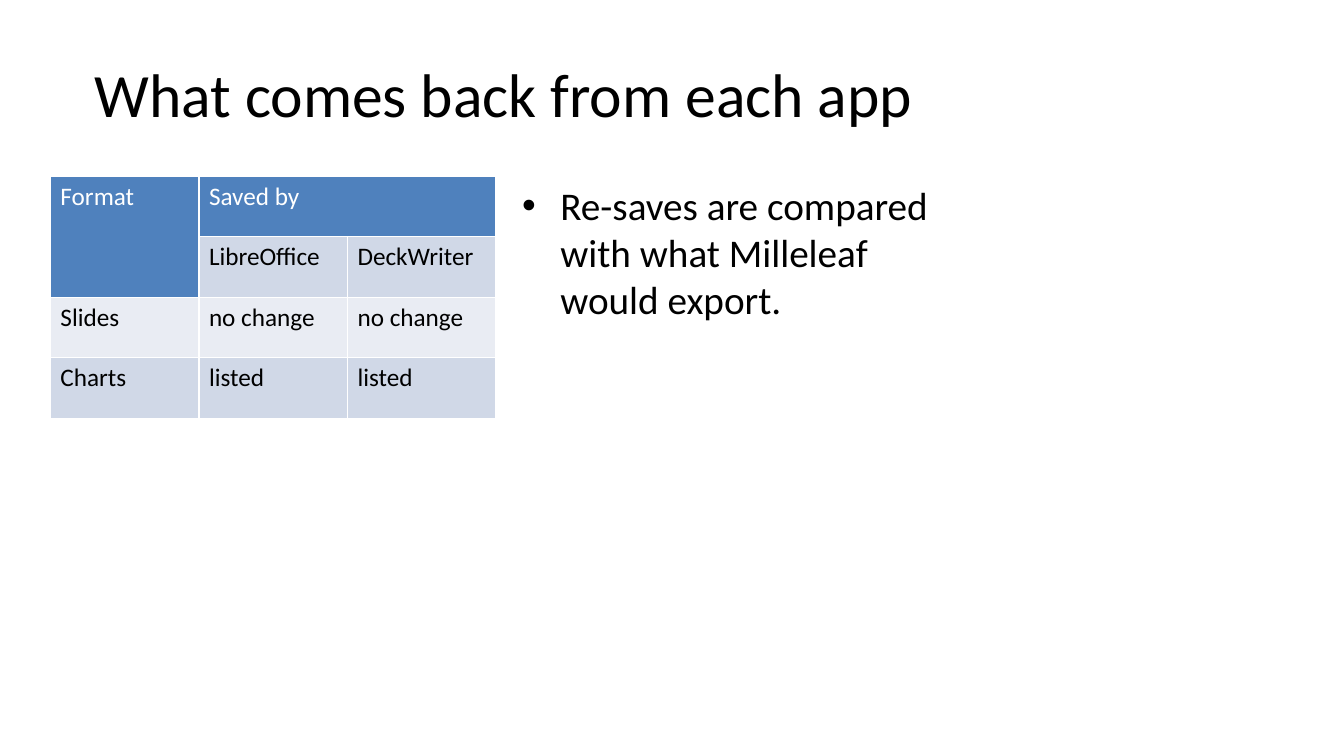
from lxml import etree
from pptx import Presentation
from pptx import util as u
from pptx.dml.color import RGBColor
from pptx.enum import text
from pptx.oxml import ns

PX = 9144  # 100 px to the inch
FONT = "Calibri"
BLACK = RGBColor(0x00, 0x00, 0x00)
WHITE = RGBColor(0xFF, 0xFF, 0xFF)
BLUE = RGBColor(0x4F, 0x81, 0xBD)
DARK = RGBColor(0xD0, 0xD8, 0xE7)
LIGHT = RGBColor(0xE9, 0xEC, 0xF3)


def style(para, size, color):
    for run in para.runs:
        run.font.name = FONT
        run.font.size = u.Pt(size)
        run.font.color.rgb = color


def add(parent, tag, **attrs):
    """Append a DrawingML child element."""
    return etree.SubElement(parent, ns.qn(tag), attrs)


deck = Presentation()
deck.slide_width = 1333 * PX
deck.slide_height = 750 * PX
slide = deck.slides.add_slide(deck.slide_layouts[6])

# Title
title = slide.shapes.add_textbox(50 * PX, 30 * PX, 900 * PX, 125 * PX).text_frame
title.word_wrap = True
title.vertical_anchor = text.MSO_ANCHOR.MIDDLE
title.text = "What comes back from each app"
title.paragraphs[0].alignment = text.PP_ALIGN.CENTER
style(title.paragraphs[0], 44, BLACK)

# Bullet text
body = slide.shapes.add_textbox(508 * PX, 175 * PX, 442 * PX, 495 * PX).text_frame
body.word_wrap = True
body.text = "Re-saves are compared with what Milleleaf would export."
para = body.paragraphs[0]
props = para._p.get_or_add_pPr()
props.set("marL", str(38 * PX))
props.set("indent", str(-38 * PX))
add(add(props, "a:buClr"), "a:srgbClr", val=str(BLACK))
add(props, "a:buFont", typeface="Arial")
add(props, "a:buChar", char="•")
style(para, 28, BLACK)

# Table
rows = [
    ["Format", "Saved by", ""],
    ["", "LibreOffice", "DeckWriter"],
    ["Slides", "no change", "no change"],
    ["Charts", "listed", "listed"],
]
fills = [BLUE, DARK, LIGHT, DARK]
table = slide.shapes.add_table(4, 3, 50 * PX, 175 * PX, 442 * PX, 240 * PX).table
table.cell(0, 0).merge(table.cell(1, 0))
table.cell(0, 1).merge(table.cell(0, 2))

for r, row in enumerate(rows):
    for c, word in enumerate(row):
        cell = table.cell(r, c)
        head = r == 0 or (r, c) == (1, 0)
        props = cell._tc.get_or_add_tcPr()
        for side in "LRTB":
            line = add(props, f"a:ln{side}", w=str(u.Pt(0.96)))
            add(add(line, "a:solidFill"), "a:srgbClr", val=str(WHITE))
        cell.fill.solid()
        cell.fill.fore_color.rgb = BLUE if head else fills[r]
        if word:
            cell.text_frame.text = word
            para = cell.text_frame.paragraphs[0]
            style(para, 18, WHITE if head else BLACK)
            para.runs[0].font.bold = False

deck.save("out.pptx")
